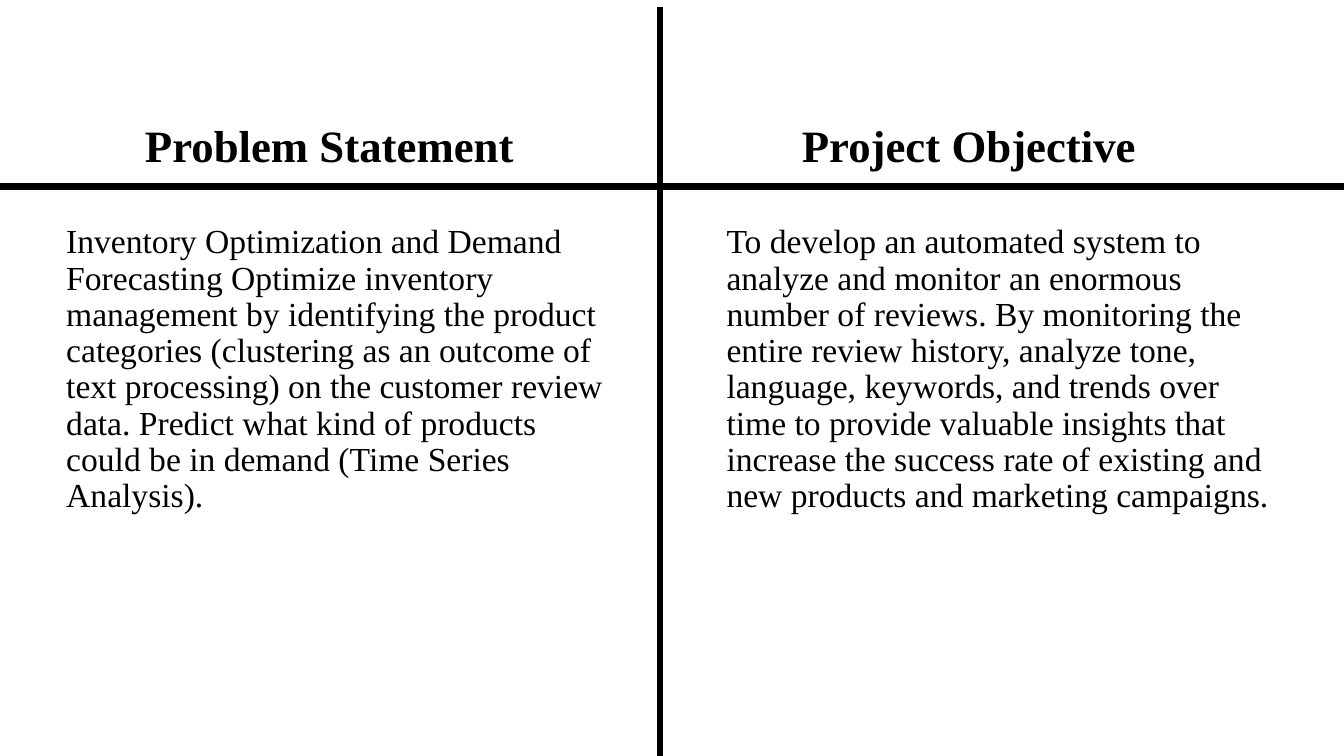
from lxml.etree import SubElement
from pptx import Presentation
from pptx.dml.color import RGBColor
from pptx.enum.shapes import MSO_CONNECTOR
from pptx.enum.text import MSO_ANCHOR, PP_ALIGN
from pptx.oxml.ns import qn
from pptx.util import Cm, Pt

BLACK = RGBColor(0x00, 0x00, 0x00)
WHITE = RGBColor(0xFF, 0xFF, 0xFF)

HEADING = {"size": Pt(32), "bold": True, "name": "Times New Roman"}
BODY = {"size": Pt(24), "bold": False, "name": "Times New Roman"}

presentation = Presentation()
presentation.slide_width = Cm(33.87)
presentation.slide_height = Cm(19.05)
slide = presentation.slides.add_slide(presentation.slide_layouts[6])
slide.background.fill.solid()
slide.background.fill.fore_color.rgb = WHITE


def add_text(text, left, top, width, height, anchor, alignment, font_format):
    frame = slide.shapes.add_textbox(Cm(left), Cm(top), Cm(width), Cm(height)).text_frame
    frame.word_wrap = True
    frame.vertical_anchor = anchor
    paragraph = frame.paragraphs[0]
    paragraph.text = text
    paragraph.alignment = alignment
    paragraph.line_spacing = 0.9
    font = paragraph.runs[0].font
    for attribute, value in font_format.items():
        setattr(font, attribute, value)
    font.color.rgb = BLACK


columns = [
    (
        "Problem Statement", 1.14,
        "Inventory Optimization and Demand Forecasting Optimize inventory management "
        "by identifying the product categories (clustering as an outcome of text "
        "processing) on the customer review data. Predict what kind of products could "
        "be in demand (Time Series Analysis).", 1.42, 14.33,
    ),
    (
        "Project Objective", 17.22,
        "To develop an automated system to analyze and monitor an enormous number of "
        "reviews. By monitoring the entire review history, analyze tone, language, "
        "keywords, and trends over time to provide valuable insights that increase the "
        "success rate of existing and new products and marketing campaigns.", 18.06, 14.4,
    ),
]
for heading, heading_left, statement, statement_left, width in columns:
    add_text(heading, heading_left, 2.82, width, 1.65,
             MSO_ANCHOR.BOTTOM, PP_ALIGN.CENTER, HEADING)
    add_text(statement, statement_left, 5.54, width, 7.95,
             MSO_ANCHOR.TOP, PP_ALIGN.LEFT, BODY)

dividers = [(16.64, 0.18, 16.64, 19.05), (0, 4.7, 33.87, 4.7)]
for ends in dividers:
    divider = slide.shapes.add_connector(MSO_CONNECTOR.STRAIGHT, *map(Cm, ends))
    divider.line.color.rgb = BLACK
    divider.line.width = Pt(4.5)
    SubElement(divider._element.spPr, qn("a:effectLst"))

presentation.save("out.pptx")
